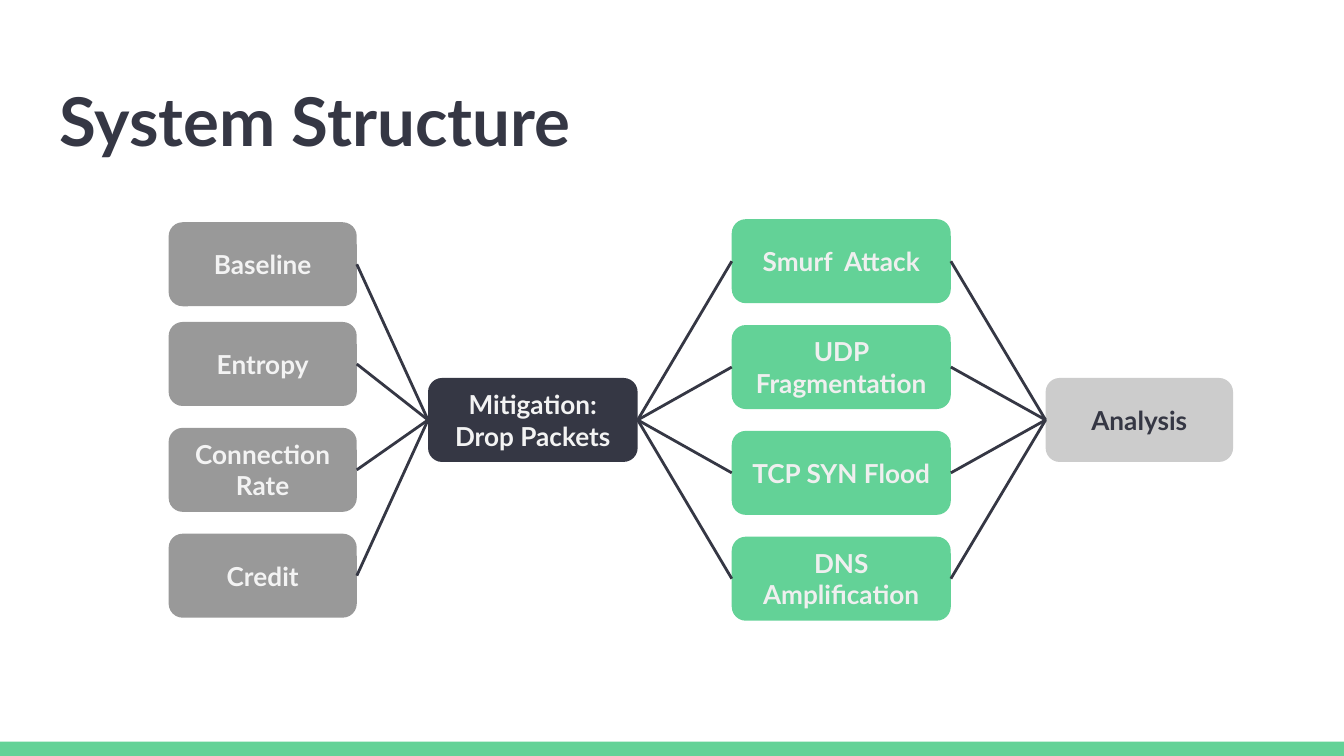
from dataclasses import dataclass
from itertools import product

from lxml.etree import SubElement
from pptx import Presentation
from pptx.dml.color import RGBColor
from pptx.enum.shapes import MSO_CONNECTOR, MSO_SHAPE
from pptx.enum.text import MSO_ANCHOR, MSO_AUTO_SIZE, PP_ALIGN
from pptx.oxml.ns import qn
from pptx.util import Inches, Pt


@dataclass(frozen=True)
class Theme:
    font: str = "Lato"
    dark: str = "353744"
    green: str = "63D297"
    gray: str = "999999"
    silver: str = "CCCCCC"
    light: str = "F3F3F3"
    pale: str = "EFEFEF"
    title_size: int = 36
    label_size: int = 14
    line_width: float = 1.5


theme = Theme()
deck = Presentation()
deck.slide_width = Inches(10)
deck.slide_height = Inches(5.625)
column = deck.slide_width / 100
row = deck.slide_height / 100
box_rows = 100 / 9
page = deck.slides.add_slide(deck.slide_layouts[5])


def write(shape, text, size, color, align=PP_ALIGN.CENTER, anchor=MSO_ANCHOR.MIDDLE):
    frame = shape.text_frame
    frame.word_wrap = True
    frame.auto_size = MSO_AUTO_SIZE.NONE
    frame.vertical_anchor = anchor
    frame.margin_left = frame.margin_right = Inches(0.1)
    frame.margin_top = frame.margin_bottom = Inches(0.1)
    para = frame.paragraphs[0]
    para.alignment = align
    para.line_spacing = 1.0
    para.space_before = Pt(0)
    span = para.add_run()
    span.text = text
    span.font.name = theme.font
    span.font.size = Pt(size)
    span.font.bold = True
    span.font.color.rgb = RGBColor.from_string(color)


def add_block(kind, left, top, width, height, fill):
    block = page.shapes.add_shape(
        kind, int(left * column), int(top * row), int(width * column), int(height * row)
    )
    block.shadow.inherit = False
    block.fill.solid()
    block.fill.fore_color.rgb = RGBColor.from_string(fill)
    block.line.fill.background()
    return block


add_block(MSO_SHAPE.RECTANGLE, 0, 98.1, 100, 1.9, theme.green)

title = page.shapes.title
title.left, title.top = int(3.4 * column), int(8.65 * row)
title.width, title.height = int(93.2 * column), int(box_rows * row)
write(title, "System Structure", theme.title_size, theme.dark, PP_ALIGN.LEFT, MSO_ANCHOR.TOP)

stages = [
    (12.55, 14, theme.gray, theme.light,
     [("Baseline", 29.4), ("Entropy", 42.6), ("Connection Rate", 56.6), ("Credit", 70.6)]),
    (31.85, 15.6, theme.dark, theme.light, [("Mitigation: Drop Packets", 50)]),
    (54.45, 16.3, theme.green, theme.pale,
     [("Smurf  Attack", 29), ("UDP Fragmentation", 43), ("TCP SYN Flood", 57),
      ("DNS Amplification", 71)]),
    (77.8, 13.95, theme.silver, theme.dark, [("Analysis", 50)]),
]

groups = []
for left, width, fill, color, labels in stages:
    group = []
    for text, top in labels:
        box = add_block(MSO_SHAPE.ROUNDED_RECTANGLE, left, top, width, box_rows, fill)
        box.adjustments[0] = 0.167
        write(box, text, theme.label_size, color)
        group.append(box)
    groups.append(group)

left_site, right_site = 1, 3
for sources, targets in zip(groups, groups[1:]):
    for source, target in product(sources, targets):
        link = page.shapes.add_connector(MSO_CONNECTOR.STRAIGHT, 0, 0, 0, 0)
        link.begin_connect(source, right_site)
        link.end_connect(target, left_site)
        link.line.color.rgb = RGBColor.from_string(theme.dark)
        link.line.width = Pt(theme.line_width)
        SubElement(link._element.spPr, qn("a:effectLst"))

deck.save("out.pptx")
